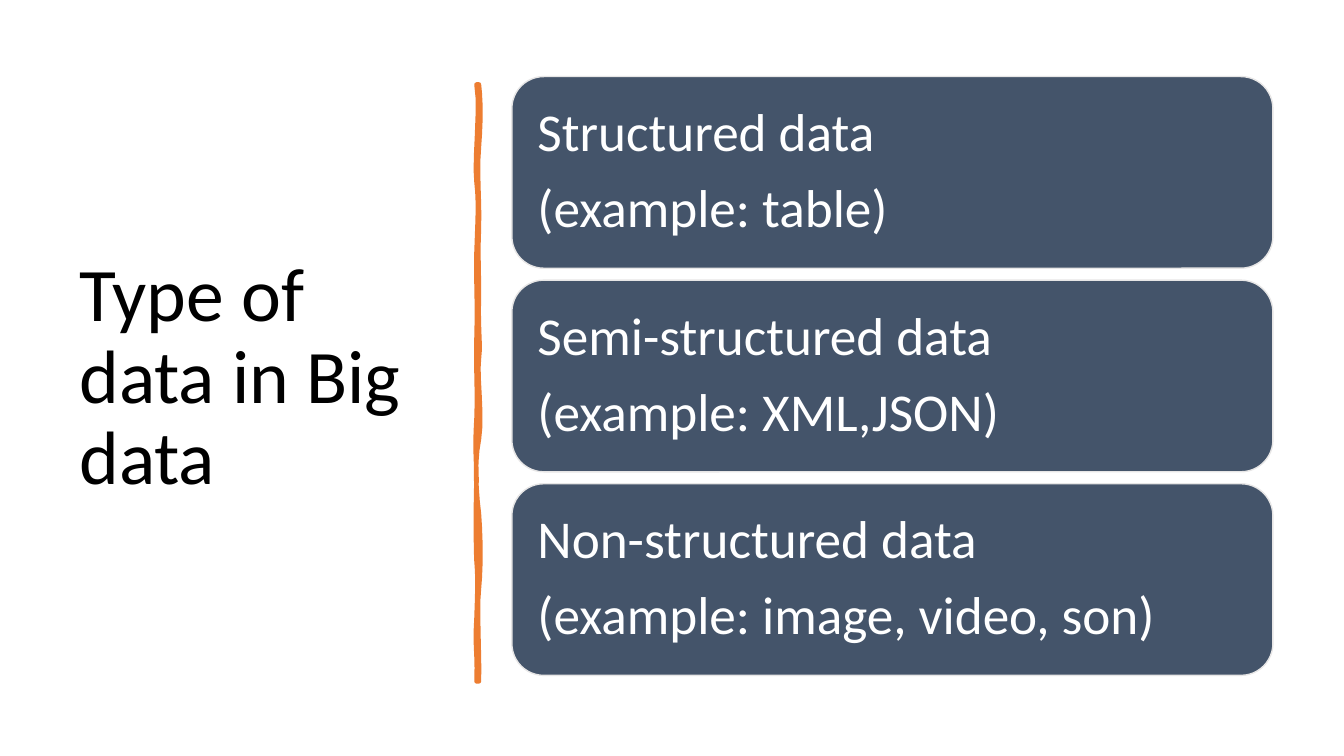
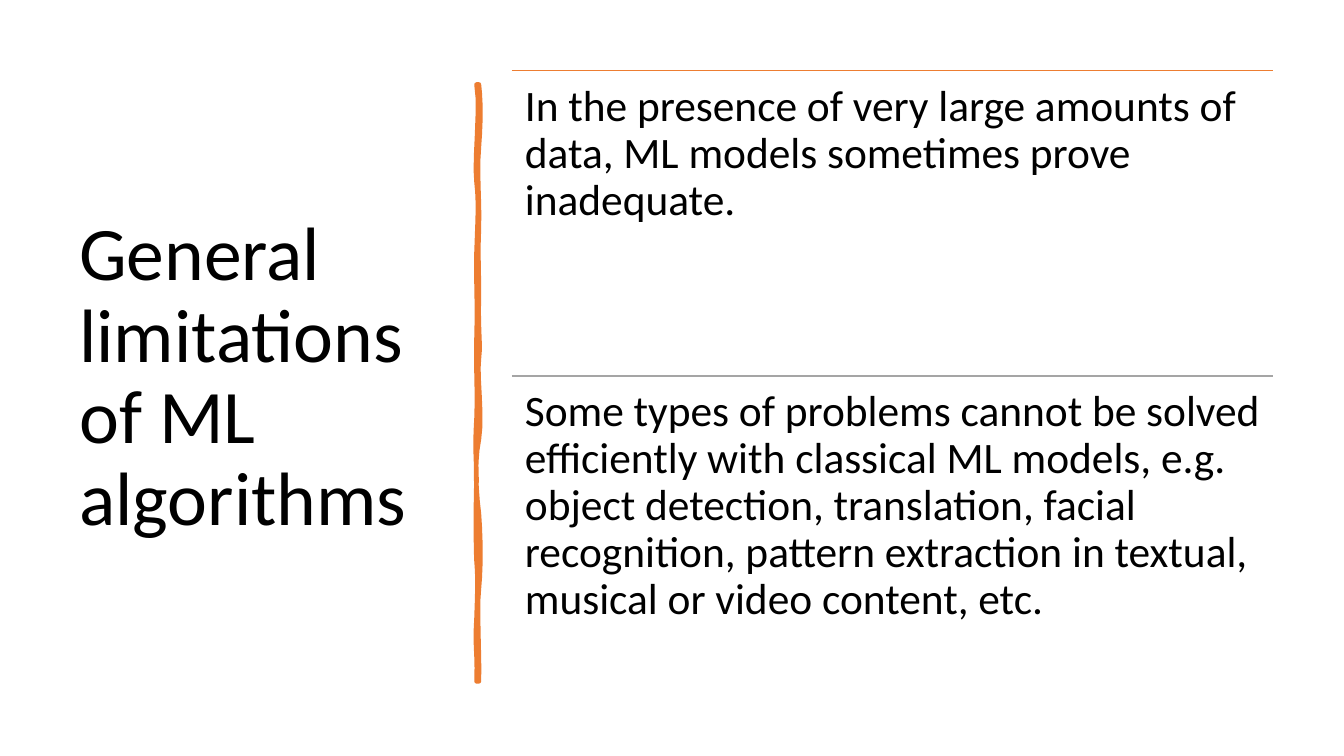
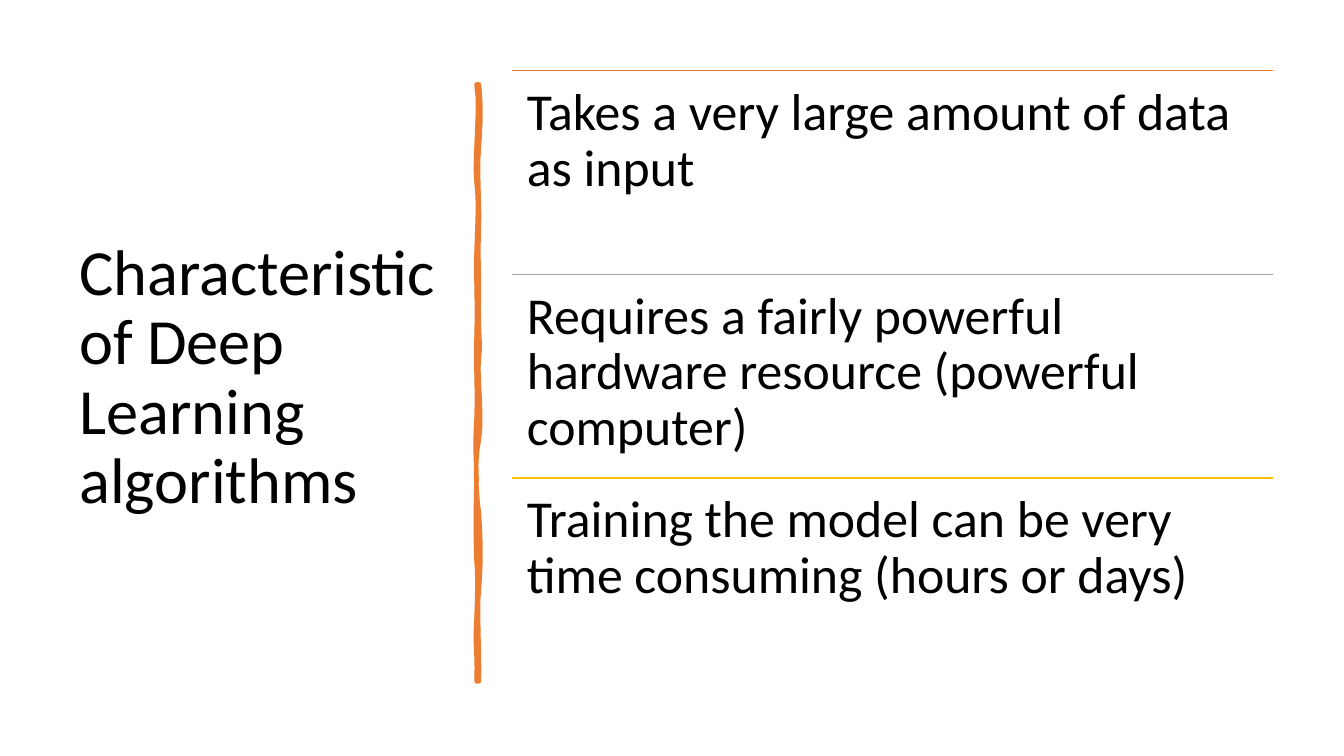
from collections import namedtuple

from lxml.etree import SubElement
from pptx import Presentation
from pptx.dml.color import RGBColor
from pptx.enum.shapes import MSO_CONNECTOR, MSO_SHAPE
from pptx.enum.text import MSO_ANCHOR, MSO_AUTO_SIZE, PP_ALIGN
from pptx.oxml.ns import qn
from pptx.util import Cm, Pt

Box = namedtuple("Box", "left top width height")

FONT = "Calibri"
BLACK = RGBColor(0x00, 0x00, 0x00)
WHITE = RGBColor(0xFF, 0xFF, 0xFF)
SLATE = RGBColor(0x44, 0x54, 0x6A)
PALE = RGBColor(0xE7, 0xE6, 0xE6)
ORANGE = RGBColor(0xED, 0x7D, 0x31)
GRAY = RGBColor(0xA5, 0xA5, 0xA5)
GOLD = RGBColor(0xFF, 0xC0, 0x00)
RULE_COLORS = (ORANGE, GRAY, GOLD)

TITLE_BOX = Box(1.75, 1.78, 9.5, 15.52)
DIVIDER_BOX = Box(12.04, 2.13, 0, 15.04)
CARDS_BOX = Box(12.9, 1.93, 19.18, 15.09)
ROWS_BOX = Box(12.9, 1.78, 19.18, 15.39)

RIGHT_EDGE = (
    (0.03, 0), (0.08, 0.46), (0.08, 0.89), (0.03, 1.57), (-0.03, 2.26),
    (0.05, 2.82), (0.03, 3.61), (0, 4.39), (0.03, 4.52), (0.03, 5.33),
    (0, 6.12), (0.08, 6.55), (0.03, 6.91), (-0.03, 7.26), (0.13, 8.38),
    (0.03, 8.94), (-0.08, 9.47), (-0.05, 10.16), (0.03, 10.82), (0.08, 11.48),
    (0.08, 12.19), (0.03, 12.7), (-0.03, 13.18), (0.05, 14.38), (0.03, 15.04),
)
LEFT_EDGE = (
    (-0.03, 15.04), (0, 14.27), (-0.08, 14.22), (-0.03, 13.44), (0, 12.67),
    (0, 12.34), (-0.03, 12.01), (-0.05, 11.68), (-0.05, 10.44), (-0.03, 9.98),
    (-0.03, 9.53), (-0.08, 9.17), (-0.03, 8.41), (0, 7.67), (-0.05, 7.34),
    (-0.03, 6.38), (0, 5.44), (-0.05, 5), (-0.03, 4.22), (0, 3.4),
    (0.03, 2.95), (-0.03, 2.46), (-0.1, 2.01), (0.08, 0.51), (-0.03, 0),
)

CARDS = (
    ("Structured data", "(example: table)"),
    ("Semi-structured data", "(example: XML,JSON)"),
    ("Non-structured data", "(example: image, video, son)"),
)
LIMITATIONS = (
    "In the presence of very large amounts of data, ML models sometimes prove inadequate.",
    "Some types of problems cannot be solved efficiently with classical ML models, e.g. "
    "object detection, translation, facial recognition, pattern extraction in textual, "
    "musical or video content, etc.",
)
CHARACTERISTICS = (
    "Takes a very large amount of data as input",
    "Requires a fairly powerful hardware resource (powerful computer)",
    "Training the model can be very time consuming (hours or days)",
)


def lengths(box):
    """Return the four sides of a box as slide lengths."""
    return [Cm(side) for side in box]


def write_text(frame, text, size, color, anchor, inset):
    """Fill a text frame and format all its paragraphs alike."""
    frame.text = text
    frame.word_wrap = True
    frame.auto_size = MSO_AUTO_SIZE.NONE
    frame.vertical_anchor = anchor
    frame.margin_left = frame.margin_right = Cm(inset)
    frame.margin_top = frame.margin_bottom = Cm(inset)
    for index, para in enumerate(frame.paragraphs):
        para.alignment = PP_ALIGN.LEFT
        para.line_spacing = 0.9
        para.space_before = Pt(13 if index else 0)
        for span in para.runs:
            span.font.name = FONT
            span.font.size = Pt(size)
            span.font.color.rgb = color


def sample_curve(points, steps=6):
    """Return points along a chain of cubic curves."""
    samples = [points[0]]
    for first in range(0, len(points) - 1, 3):
        controls = points[first:first + 4]
        for step in range(1, steps + 1):
            t = step / steps
            weights = ((1 - t) ** 3, 3 * t * (1 - t) ** 2, 3 * t * t * (1 - t), t ** 3)
            samples.append(tuple(
                sum(weight * control[axis] for weight, control in zip(weights, controls))
                for axis in (0, 1)
            ))
    return samples


def add_divider(page, box):
    """Draw the hand-drawn vertical stroke beside the title."""
    outline = [
        (Cm(box.left + x), Cm(box.top + y))
        for x, y in sample_curve(RIGHT_EDGE) + sample_curve(LEFT_EDGE)
    ]
    builder = page.shapes.build_freeform(*outline[0], scale=1.0)
    builder.add_line_segments(outline[1:], close=True)
    stroke = builder.convert_to_shape()
    stroke.shadow.inherit = False
    stroke.fill.solid()
    stroke.fill.fore_color.rgb = ORANGE
    stroke.line.color.rgb = ORANGE
    stroke.line.width = Pt(3.25)
    SubElement(stroke.line._get_or_add_ln(), qn("a:round"))


def add_page(deck, title, title_size):
    """Add a slide with its title on the left and the divider."""
    page = deck.slides.add_slide(deck.slide_layouts[5])
    heading = page.shapes.title
    heading.left, heading.top, heading.width, heading.height = lengths(TITLE_BOX)
    write_text(heading.text_frame, title, title_size, BLACK, MSO_ANCHOR.MIDDLE, 0.25)
    add_divider(page, DIVIDER_BOX)
    return page


def add_cards(page, box, cards, gap=0.3):
    """Stack rounded cards of equal height inside the box."""
    height = (box.height - gap * (len(cards) - 1)) / len(cards)
    for index, lines in enumerate(cards):
        place = Box(box.left, box.top + index * (height + gap), box.width, height)
        card = page.shapes.add_shape(MSO_SHAPE.ROUNDED_RECTANGLE, *lengths(place))
        card.shadow.inherit = False
        card.fill.solid()
        card.fill.fore_color.rgb = SLATE
        card.line.color.rgb = PALE
        card.line.width = Pt(1)
        write_text(card.text_frame, "\n".join(lines), 38, WHITE, MSO_ANCHOR.MIDDLE, 0.41)


def add_ruled_rows(page, box, texts, size, inset):
    """Split the box into equal rows, each under a coloured rule."""
    height = box.height / len(texts)
    for index, (text, color) in enumerate(zip(texts, RULE_COLORS)):
        row = Box(box.left, box.top + index * height, box.width, height)
        left, top, width, _ = lengths(row)
        rule = page.shapes.add_connector(MSO_CONNECTOR.STRAIGHT, left, top, left + width, top)
        rule.line.color.rgb = color
        rule.line.width = Pt(1)
        SubElement(rule._element.spPr, qn("a:effectLst"))
        label = page.shapes.add_textbox(*lengths(row))
        write_text(label.text_frame, text, size, BLACK, MSO_ANCHOR.TOP, inset)


def main():
    """Build the three slides and save the deck."""
    deck = Presentation()
    deck.slide_width, deck.slide_height = Cm(33.87), Cm(19.05)
    add_cards(add_page(deck, "Type of data in Big data", 54), CARDS_BOX, CARDS)
    page = add_page(deck, "General limitations of ML algorithms", 54)
    add_ruled_rows(page, ROWS_BOX, LIMITATIONS, 31, 0.33)
    page = add_page(deck, "Characteristic of Deep Learning algorithms", 46)
    add_ruled_rows(page, ROWS_BOX, CHARACTERISTICS, 37, 0.38)
    deck.save("out.pptx")


if __name__ == "__main__":
    main()
